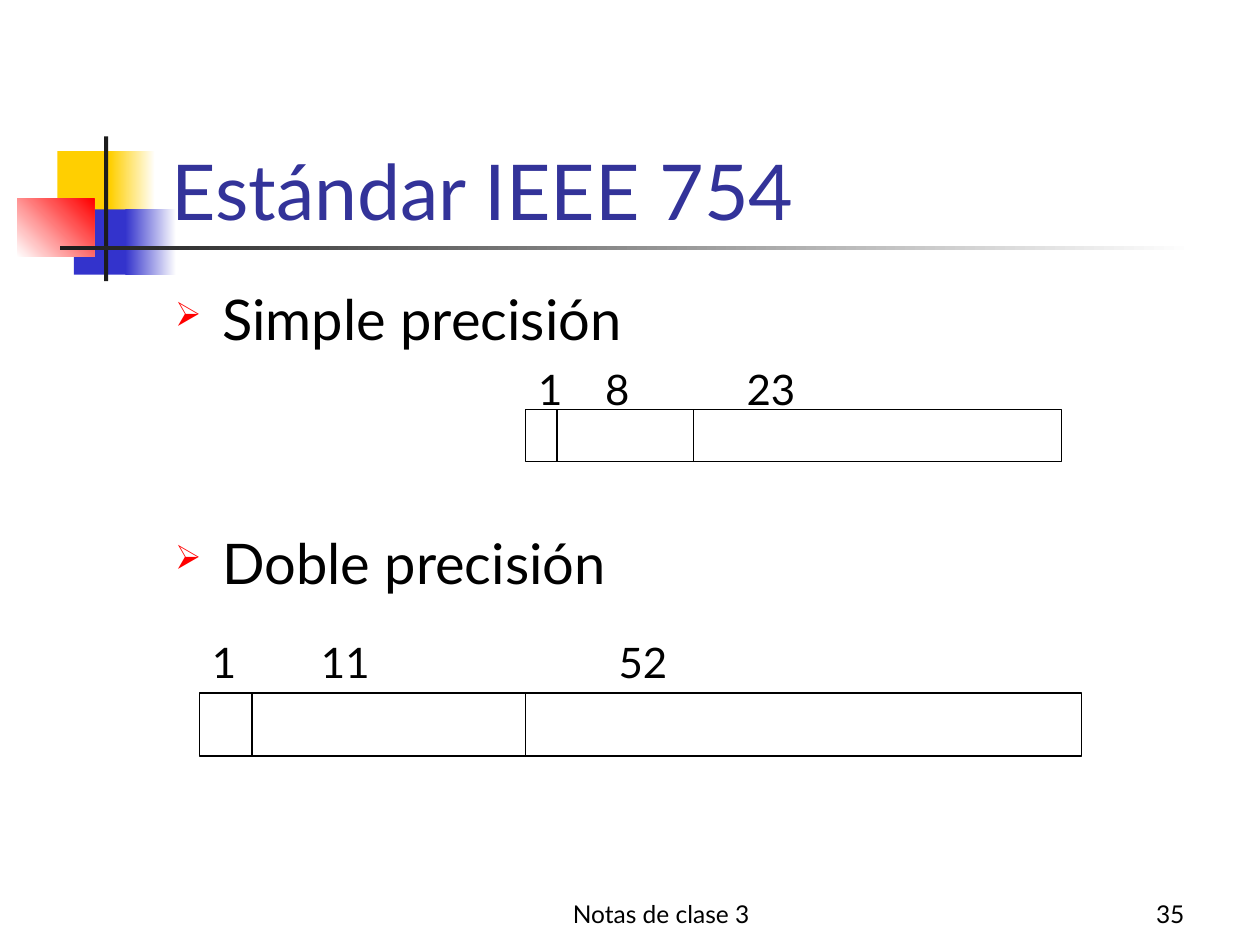
import pptx
import pptx.dml.color
import pptx.enum.shapes
import pptx.enum.text
import pptx.oxml.ns
import pptx.util
import lxml.etree

Cm = pptx.util.Cm
ALIGN = pptx.enum.text.PP_ALIGN
ANCHOR = pptx.enum.text.MSO_ANCHOR
FONT = "Lato"
COLOURS = {
    "text": "000000", "title": "333399", "paper": "FFFFFF", "yellow": "FFCF01",
    "blue": "3333CC", "red": "FF0000", "dark": "1C1C1C",
}


def rgb(name):
    """Return the named colour."""
    return pptx.dml.color.RGBColor.from_string(COLOURS[name])


def add_xml(parent, tag, **attributes):
    """Append a DrawingML element and return it."""
    return lxml.etree.SubElement(parent, pptx.oxml.ns.qn(tag), attributes)


def place(shape, box):
    """Move a shape to a (left, top, width, height) box in centimetres."""
    shape.left, shape.top, shape.width, shape.height = map(Cm, box)


def write(frame, text, size=24, colour="text", align=ALIGN.LEFT,
          anchor=ANCHOR.TOP, before=0, more=False):
    """Write one formatted paragraph, after the others if more is set."""
    frame.word_wrap = True
    frame.auto_size = pptx.enum.text.MSO_AUTO_SIZE.NONE
    frame.vertical_anchor = anchor
    para = frame.add_paragraph() if more else frame.paragraphs[0]
    para.alignment = align
    para.space_before = pptx.util.Pt(before)
    span = para.add_run()
    span.text = text
    span.font.name = FONT
    span.font.size = pptx.util.Pt(size)
    span.font.color.rgb = rgb(colour)
    return para


def add_text(page, box, text, **style):
    """Add a text box with one paragraph."""
    shape = page.shapes.add_textbox(*map(Cm, box))
    write(shape.text_frame, text, **style)
    return shape


def add_block(page, box, colour, end=None, angle=0, outline=False):
    """Add a rectangle, plain or fading to the end colour."""
    shape = page.shapes.add_shape(
        pptx.enum.shapes.MSO_SHAPE.RECTANGLE, *map(Cm, box))
    shape.shadow.inherit = False
    if end:
        shape.fill.gradient()
        shape.fill.gradient_angle = angle
        for stop, name in zip(shape.fill.gradient_stops, (colour, end)):
            stop.color.rgb = rgb(name)
    else:
        shape.fill.solid()
        shape.fill.fore_color.rgb = rgb(colour)
    if outline:
        shape.line.color.rgb = rgb("text")
        shape.line.width = pptx.util.Pt(0.74)
    else:
        shape.line.fill.background()


def add_ornament(page, left, top):
    """Draw the coloured squares and the crossing bars beside the title."""
    blocks = [
        ((0.81, 0.3, 1.22, 1.32), "yellow", None, 0),
        ((1.87, 0.3, 0.91, 1.32), "yellow", "paper", 0),
        ((1.14, 1.47, 1.17, 1.32), "blue", None, 0),
        ((2.18, 1.47, 1.02, 1.32), "blue", "paper", 0),
        ((0, 1.26, 1.55, 1.17), "paper", "red", 45),
        ((1.75, 0, 0.08, 2.92), "dark", None, 0),
        ((0.86, 2.2, 22.86, 0.09), "dark", "paper", 0),
    ]
    for (x, y, width, height), colour, end, angle in blocks:
        add_block(page, (left + x, top + y, width, height), colour, end, angle)


def add_bullets(page, box, items, gap):
    """List the items with arrow bullets, a gap in points between them."""
    frame = page.shapes.add_textbox(*map(Cm, box)).text_frame
    for index, item in enumerate(items):
        para = write(frame, item, size=32, more=index > 0,
                     before=gap if index else 0)
        props = para._p.get_or_add_pPr()
        indent = Cm(0.95)
        props.set("marL", str(indent))
        props.set("indent", str(-indent))
        add_xml(add_xml(props, "a:buClr"), "a:srgbClr", val=COLOURS["red"])
        add_xml(props, "a:buSzPct", val="60000")
        add_xml(props, "a:buChar", char="➢")


def add_format(page, box, dividers, bits, tabs, label_rise):
    """Draw a number format: a split bar with bit counts above it."""
    left, top, width, height = box
    add_block(page, box, "paper", outline=True)
    for offset in dividers:
        x = Cm(left + offset)
        line = page.shapes.add_connector(
            pptx.enum.shapes.MSO_CONNECTOR.STRAIGHT,
            x, Cm(top), x, Cm(top + height))
        line.line.color.rgb = rgb("text")
        line.line.width = pptx.util.Pt(0.74)
        add_xml(line._element.spPr, "a:effectLst")
    label = add_text(page, (left, top - label_rise, width, 1.27),
                     "\t".join(bits))
    props = label.text_frame.paragraphs[0]._p.get_or_add_pPr()
    stops = add_xml(props, "a:tabLst")
    for tab in tabs:
        add_xml(stops, "a:tab", pos=str(Cm(tab)), algn="l")


def build_page(deck):
    """Build the page on the IEEE 754 formats."""
    page = deck.slides.add_slide(deck.slide_layouts[5])
    add_ornament(page, 0.35, 2.75)
    title = page.shapes.title
    place(title, (3.2, 1.7, 21.64, 3.18))
    write(title.text_frame, "Estándar IEEE 754", size=44, colour="title",
          anchor=ANCHOR.BOTTOM)
    add_bullets(page, (3.28, 5.61, 21.59, 11.43),
                ["Simple precisión", "Doble precisión"], gap=100.8)
    add_format(page, (10.6, 8.25, 10.8, 1.06), (0.63, 2.75 + 0.63),
               ("1", "8", "23"), (1.35, 4.2), label_rise=1.05)
    add_format(page, (4.02, 13.97, 17.78, 1.27), (1.06, 6.58),
               ("1", "11", "52"), (2.2, 8.2), label_rise=1.27)
    add_text(page, (9.31, 17.57, 8.04, 1.27), "Notas de clase 3", size=14,
             align=ALIGN.CENTER, anchor=ANCHOR.BOTTOM)
    add_text(page, (18.84, 17.57, 5.29, 1.27), "35", size=14,
             align=ALIGN.RIGHT, anchor=ANCHOR.BOTTOM)


deck = pptx.Presentation()
deck.slide_width, deck.slide_height = Cm(25.4), Cm(19.05)
build_page(deck)
deck.save("out.pptx")
